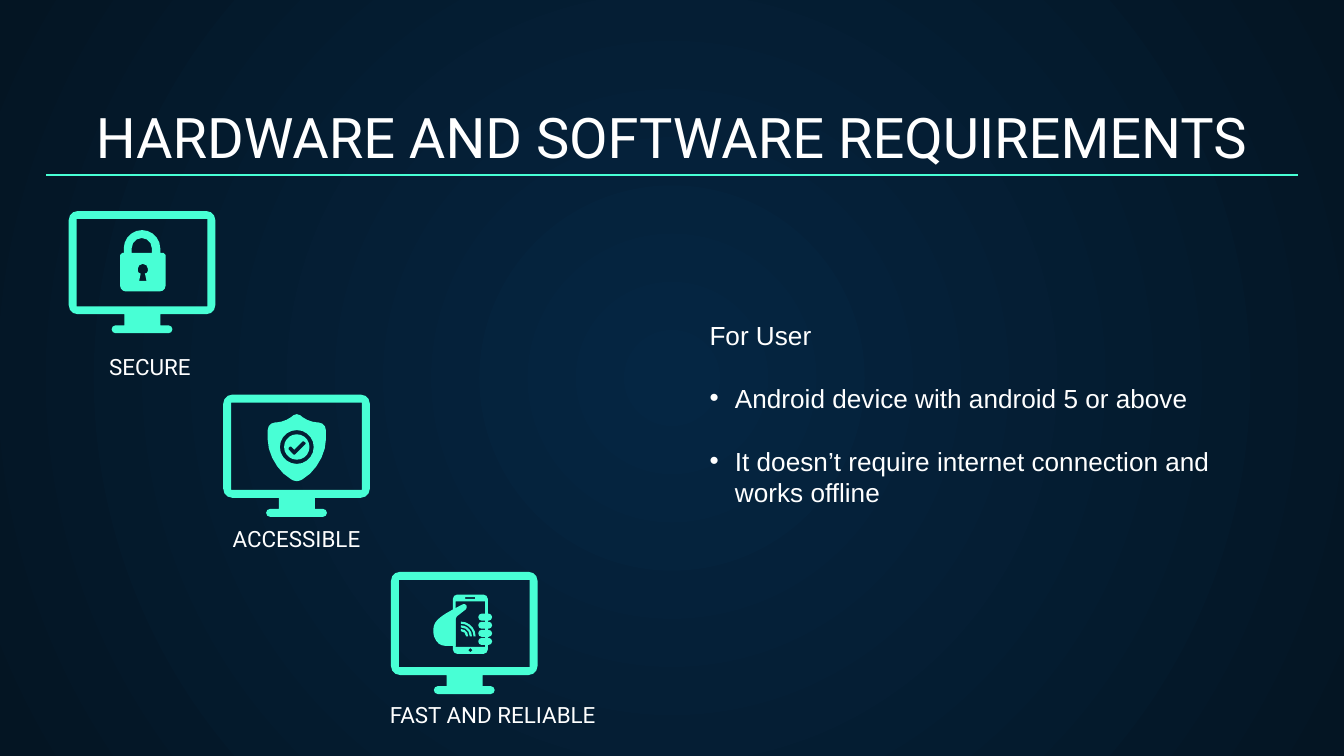
from dataclasses import dataclass
from math import dist

from lxml.etree import SubElement
from pptx import Presentation
from pptx.dml.color import RGBColor
from pptx.enum.shapes import MSO_CONNECTOR
from pptx.enum.text import MSO_ANCHOR, PP_ALIGN
from pptx.oxml import parse_xml
from pptx.oxml.ns import nsdecls, qn
from pptx.slide import Slide
from pptx.text.text import _Paragraph
from pptx.util import Cm, Pt

Corner = tuple[float, float, float]
Contour = list[Corner]


@dataclass(frozen=True)
class Theme:
    accent: RGBColor = RGBColor(0x48, 0xFF, 0xD5)
    text: RGBColor = RGBColor(0xFF, 0xFF, 0xFF)
    glow: RGBColor = RGBColor(0x05, 0x26, 0x43)
    night: RGBColor = RGBColor(0x04, 0x15, 0x23)
    display_font: str = "Roboto"
    body_font: str = "Arial"
    title_size: float = 30
    body_size: float = 14
    label_size: float = 12
    line_pitch: float = 16.8
    inset: float = 0.25


@dataclass(frozen=True)
class Box:
    left: float
    top: float
    width: float
    height: float


@dataclass(frozen=True)
class Feature:
    label: str
    label_box: Box
    left: float
    top: float
    symbol: list[list[Contour]]


THEME = Theme()


def box(left: float, top: float, right: float, bottom: float, radius: float = 0) -> Contour:
    return [(left, top, radius), (right, top, radius), (right, bottom, radius), (left, bottom, radius)]


def circle(x: float, y: float, radius: float) -> Contour:
    return box(x - radius, y - radius, x + radius, y + radius, radius)


def quarter_ring(x: float, y: float, outer: float, inner: float) -> Contour:
    return [(x, y - outer, 0), (x + outer, y - outer, outer), (x + outer, y, 0),
            (x + inner, y, 0), (x + inner, y - inner, inner), (x, y - inner, 0)]


MONITOR: list[Contour] = [
    [(0, 0, 1.7), (27.7, 0, 1.7), (27.7, 19.5, 1.7), (17.3, 19.5, 0), (17.3, 21.6, 0),
     (19.6, 21.6, 0.75), (19.6, 23.1, 0.75), (8.1, 23.1, 0.75), (8.1, 21.6, 0.75),
     (10.5, 21.6, 0), (10.5, 19.5, 0), (0, 19.5, 1.7)],
    box(1.5, 1.5, 26.2, 18),
]
PADLOCK: list[Contour] = [
    [(10.4, 3.6, 3.45), (17.3, 3.6, 3.45), (17.3, 7.9, 0), (18.3, 7.9, 0.4),
     (18.3, 15.2, 1.1), (9.7, 15.2, 1.1), (9.7, 7.9, 0.4), (10.4, 7.9, 0)],
    [(11.9, 5.1, 1.9), (15.7, 5.1, 1.9), (15.7, 7.9, 0), (11.9, 7.9, 0)],
    [(13.05, 10, 0.9), (14.95, 10, 0.9), (14.95, 11.8, 0.5), (14.4, 11.8, 0),
     (14.7, 13.2, 0), (13.3, 13.2, 0), (13.6, 11.8, 0), (13.05, 11.8, 0.5)],
]
SHIELD: list[Contour] = [
    [(13.9, 3.4, 0.8), (16.2, 5.2, 1.5), (19.4, 5.3, 1.4), (19.4, 13.5, 5),
     (13.9, 16.6, 0.8), (8.4, 13.5, 5), (8.4, 5.3, 1.4), (11.6, 5.2, 1.5)],
    circle(13.9, 9.9, 3.2),
    circle(13.9, 9.9, 2.4),
    [(12.2, 10.2, 0.2), (12.7, 9.7, 0.2), (13.4, 10.4, 0), (15.1, 8.7, 0.2),
     (15.7, 9.2, 0.2), (13.4, 11.5, 0.2)],
]
PHONE: list[Contour] = [
    box(11.7, 4.3, 18.3, 15.5, 0.8),
    box(12.2, 5.6, 17.8, 14.2),
    box(14, 4.8, 15.9, 5.1),
    circle(15, 14.8, 0.4),
]
SIGNAL: list[Contour] = [quarter_ring(13.2, 12.2, r, r - 0.4) for r in (1.4, 2.1, 2.8)]
FINGERS: list[Contour] = [
    box(16.5, 7.9 + 1.53 * i, 19.1, 9.2 + 1.53 * i, 0.6) for i in range(4)
]
THUMB: list[Contour] = [
    [(11.7, 7.1, 0.5), (9.6, 8.3, 1), (8, 9.8, 1), (8, 12.8, 1.3), (9.6, 14, 0.7),
     (12.2, 14, 0), (12.2, 8.6, 0.3), (14.5, 6.8, 0.5), (14, 5.9, 0.5)],
]

FEATURES = [
    Feature("SECURE", Box(-0.05, 6.91, 5.77, 0.53), 13, 39.9, [PADLOCK]),
    Feature("ACCESSIBLE", Box(2.72, 10.16, 5.77, 0.53), 42.2, 74.6, [SHIELD]),
    Feature("FAST AND RELIABLE", Box(6.43, 13.49, 5.77, 0.53), 73.9, 108.1,
            [PHONE, SIGNAL, FINGERS, THUMB]),
]


def rounded(contour: Contour) -> list[tuple[float, float]]:
    points = []
    for i, (x, y, radius) in enumerate(contour):
        if not radius:
            points.append((x, y))
            continue
        ends = []
        for nx, ny, _ in (contour[i - 1], contour[(i + 1) % len(contour)]):
            share = radius / dist((x, y), (nx, ny))
            ends.append((x + (nx - x) * share, y + (ny - y) * share))
        (ax, ay), (bx, by) = ends
        steps = 1 if radius < 0.5 else 2 if radius < 1 else 3 if radius < 2 else 5
        for step in range(steps + 1):
            t = step / steps
            a, b = (1 - t) ** 2 * (1 + 0.35 * t), t ** 2 * (1 + 0.35 * (1 - t))
            corner = 1 - a - b
            points.append((a * ax + b * bx + corner * x, a * ay + b * by + corner * y))
    return points


def draw_outline(slide: Slide, contours: list[Contour], left: float, top: float) -> None:
    builder = None
    for contour in contours:
        points = [((left + x) * 100, (top + y) * 100) for x, y in rounded(contour)]
        if builder is None:
            builder = slide.shapes.build_freeform(*points[0], scale=Cm(0.001))
        else:
            builder.move_to(*points[0])
        builder.add_line_segments(points[1:], close=True)
    outline = builder.convert_to_shape()
    outline.shadow.inherit = False
    outline.fill.solid()
    outline.fill.fore_color.rgb = THEME.accent
    outline.line.fill.background()


def add_text(slide: Slide, text: str, place: Box, size: float, font: str,
             align: PP_ALIGN = PP_ALIGN.CENTER,
             anchor: MSO_ANCHOR = MSO_ANCHOR.BOTTOM) -> list[_Paragraph]:
    frame = slide.shapes.add_textbox(
        Cm(place.left), Cm(place.top), Cm(place.width), Cm(place.height)).text_frame
    frame.word_wrap = True
    frame.vertical_anchor = anchor
    frame.margin_left = frame.margin_right = Cm(THEME.inset)
    frame.margin_top = frame.margin_bottom = Cm(THEME.inset)
    frame.text = text
    for paragraph in frame.paragraphs:
        paragraph.alignment = align
        for run in paragraph.runs:
            run.font.size = Pt(size)
            run.font.name = font
            run.font.color.rgb = THEME.text
    return list(frame.paragraphs)


def add_bullet(paragraph: _Paragraph) -> None:
    properties = paragraph._p.get_or_add_pPr()
    properties.set("marL", str(Cm(0.48)))
    properties.set("indent", str(-Cm(0.48)))
    color = SubElement(properties, qn("a:buClr"))
    SubElement(color, qn("a:srgbClr"), val=str(THEME.text))
    SubElement(properties, qn("a:buFont"), typeface=THEME.body_font)
    SubElement(properties, qn("a:buChar"), char="•")


def paint_background(slide: Slide) -> None:
    fill = slide.background.fill
    fill.gradient()
    for stop, position, color in zip(fill.gradient_stops, (0, 1), (THEME.glow, THEME.night)):
        stop.position = position
        stop.color.rgb = color
    linear = slide._element.find(".//" + qn("a:lin"))
    linear.getparent().replace(linear, parse_xml(
        f'<a:path {nsdecls("a")} path="circle">'
        '<a:fillToRect l="50000" t="50000" r="50000" b="50000"/></a:path>'))


def add_requirements(slide: Slide) -> None:
    lines = ["For User", "Android device with android 5 or above",
             "It doesn’t require internet connection and works offline"]
    paragraphs = add_text(slide, "\n".join(lines), Box(13.16, 5.79, 10.24, 1.4),
                          THEME.body_size, THEME.body_font, PP_ALIGN.LEFT, MSO_ANCHOR.TOP)
    for paragraph in paragraphs:
        paragraph.line_spacing = Pt(THEME.line_pitch)
    for requirement in paragraphs[1:]:
        requirement.space_before = Pt(THEME.line_pitch)
        add_bullet(requirement)


def add_rule(slide: Slide) -> None:
    rule = slide.shapes.add_connector(
        MSO_CONNECTOR.STRAIGHT, Cm(0.87), Cm(3.31), Cm(24.53), Cm(3.31))
    rule.line.color.rgb = THEME.accent
    rule.line.width = Pt(0.75)
    SubElement(rule._element.spPr, qn("a:effectLst"))


def main() -> None:
    deck = Presentation()
    deck.slide_width, deck.slide_height = Cm(25.4), Cm(14.29)
    slide = deck.slides.add_slide(deck.slide_layouts[6])
    paint_background(slide)
    add_text(slide, "HARDWARE AND SOFTWARE REQUIREMENTS", Box(0.86, 1.78, 23.67, 1.68),
             THEME.title_size, THEME.display_font)
    add_requirements(slide)
    for feature in FEATURES:
        for contours in [MONITOR, *feature.symbol]:
            draw_outline(slide, contours, feature.left, feature.top)
        add_text(slide, feature.label, feature.label_box, THEME.label_size, THEME.display_font)
    add_rule(slide)
    deck.save("out.pptx")


if __name__ == "__main__":
    main()
